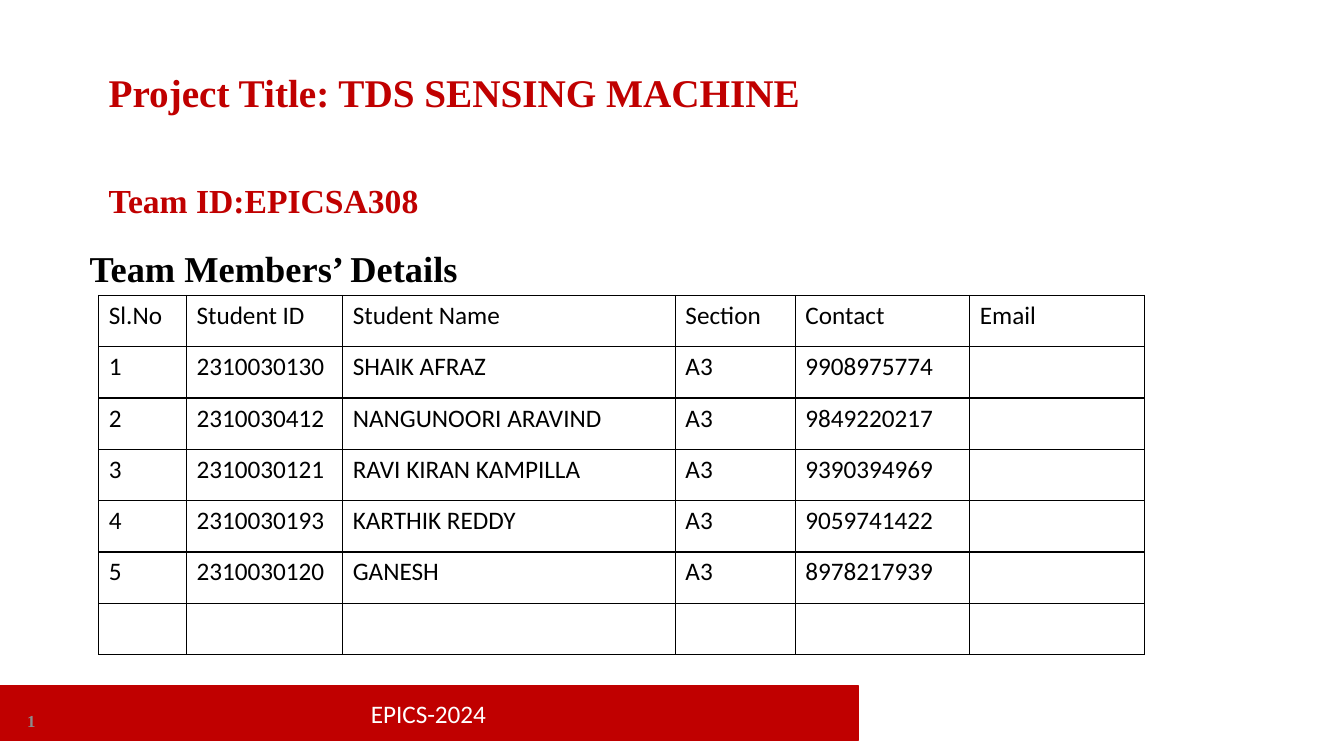
import pptx
import pptx.dml.color
import pptx.enum.shapes
import pptx.enum.text
import pptx.oxml.ns
import pptx.util
from lxml import etree

COLOURS = {"red": "C00000", "black": "000000", "white": "FFFFFF", "grey": "8C8C8C"}
SLIDE_WIDTH = pptx.util.Inches(13.33)
SLIDE_HEIGHT = pptx.util.Inches(7.5)
SERIF = "Times New Roman"
SANS = "Calibri"

MEMBERS = [
    ("Sl.No", "Student ID", "Student Name", "Section", "Contact", "Email"),
    ("1", "2310030130", "SHAIK AFRAZ", "A3", "9908975774", ""),
    ("2", "2310030412", "NANGUNOORI ARAVIND", "A3", "9849220217", ""),
    ("3", "2310030121", "RAVI KIRAN KAMPILLA", "A3", "9390394969", ""),
    ("4", "2310030193", "KARTHIK REDDY", "A3", "9059741422", ""),
    ("5", "2310030120", "GANESH", "A3", "8978217939", ""),
    ("", "", "", "", "", ""),
]
COLUMN_WEIGHTS = [0.87, 1.55, 3.3, 1.19, 1.73, 1.73]


def rgb(name):
    """Return the named colour."""
    return pptx.dml.color.RGBColor.from_string(COLOURS[name])


def place(left, top, width, height):
    """Turn percentages of the slide's size into a box of lengths."""
    return (
        round(SLIDE_WIDTH * left / 100),
        round(SLIDE_HEIGHT * top / 100),
        round(SLIDE_WIDTH * width / 100),
        round(SLIDE_HEIGHT * height / 100),
    )


def write(text_frame, text, colour, **formats):
    """Write one paragraph and set its font from the format values."""
    paragraph = text_frame.paragraphs[0]
    font = paragraph.font
    if text:
        run = paragraph.add_run()
        run.text = text
        font = run.font
    for name, value in formats.items():
        setattr(font, name, value)
    font.color.rgb = rgb(colour)
    return paragraph


def add_heading(slide, box, text, colour, size, anchor=pptx.enum.text.MSO_ANCHOR.TOP):
    """Add a bold serif line of text in the box."""
    text_frame = slide.shapes.add_textbox(*box).text_frame
    text_frame.word_wrap = True
    text_frame.vertical_anchor = anchor
    write(text_frame, text, colour, name=SERIF, size=pptx.util.Pt(size), bold=True)


def add_footer(slide, box, text):
    """Add the red bar with its centred caption."""
    bar = slide.shapes.add_shape(pptx.enum.shapes.MSO_SHAPE.RECTANGLE, *box)
    bar.shadow.inherit = False
    bar.fill.solid()
    bar.fill.fore_color.rgb = rgb("red")
    bar.line.color.rgb = rgb("red")
    bar.line.width = pptx.util.Pt(1)
    bar.text_frame.vertical_anchor = pptx.enum.text.MSO_ANCHOR.MIDDLE
    paragraph = write(bar.text_frame, text, "white", name=SANS, size=pptx.util.Pt(18))
    paragraph.alignment = pptx.enum.text.PP_ALIGN.CENTER


def add_borders(cell):
    """Draw a thin black line on each side of the cell."""
    qualified = pptx.oxml.ns.qn
    properties = cell._tc.get_or_add_tcPr()
    for side in ("a:lnL", "a:lnR", "a:lnT", "a:lnB"):
        line = etree.SubElement(properties, qualified(side), w=str(pptx.util.Pt(1)))
        fill = etree.SubElement(line, qualified("a:solidFill"))
        etree.SubElement(fill, qualified("a:srgbClr"), val=COLOURS["black"])


def add_members_table(slide, box, rows, weights):
    """Add the table of members, its columns shared out by weight."""
    width, height = box[2:]
    table = slide.shapes.add_table(len(rows), len(weights), *box).table
    table.first_row = False
    table.horz_banding = False
    for column, weight in zip(table.columns, weights):
        column.width = round(width * weight / sum(weights))
    for row, texts in zip(table.rows, rows):
        row.height = round(height / len(rows))
        for cell, text in zip(row.cells, texts):
            write(cell.text_frame, text, "black", name=SANS, size=pptx.util.Pt(18))
            add_borders(cell)
            cell.fill.background()


def build_team_slide(presentation):
    """Add the slide that presents the project and its team."""
    slide = presentation.slides.add_slide(presentation.slide_layouts[6])
    add_footer(slide, place(-0.08, 90.67, 63.92, 7.33), "EPICS-2024")
    add_heading(slide, place(1.28, 92.67, 22.5, 5.33), "1", "grey", 12,
                pptx.enum.text.MSO_ANCHOR.MIDDLE)
    add_heading(slide, place(7.35, 8.4, 58.51, 7.6),
                "Project Title: TDS SENSING MACHINE", "red", 28)
    add_heading(slide, place(5.93, 31.87, 50.04, 7.2), "Team Members’ Details", "black", 26)
    add_members_table(slide, place(7.35, 39.07, 77.79, 47.53), MEMBERS, COLUMN_WEIGHTS)
    add_heading(slide, place(7.35, 23.2, 50.04, 6.67), "Team ID:EPICSA308", "red", 24)


def main():
    """Build and save the presentation."""
    presentation = pptx.Presentation()
    presentation.slide_width = SLIDE_WIDTH
    presentation.slide_height = SLIDE_HEIGHT
    build_team_slide(presentation)
    presentation.save("out.pptx")


if __name__ == "__main__":
    main()
